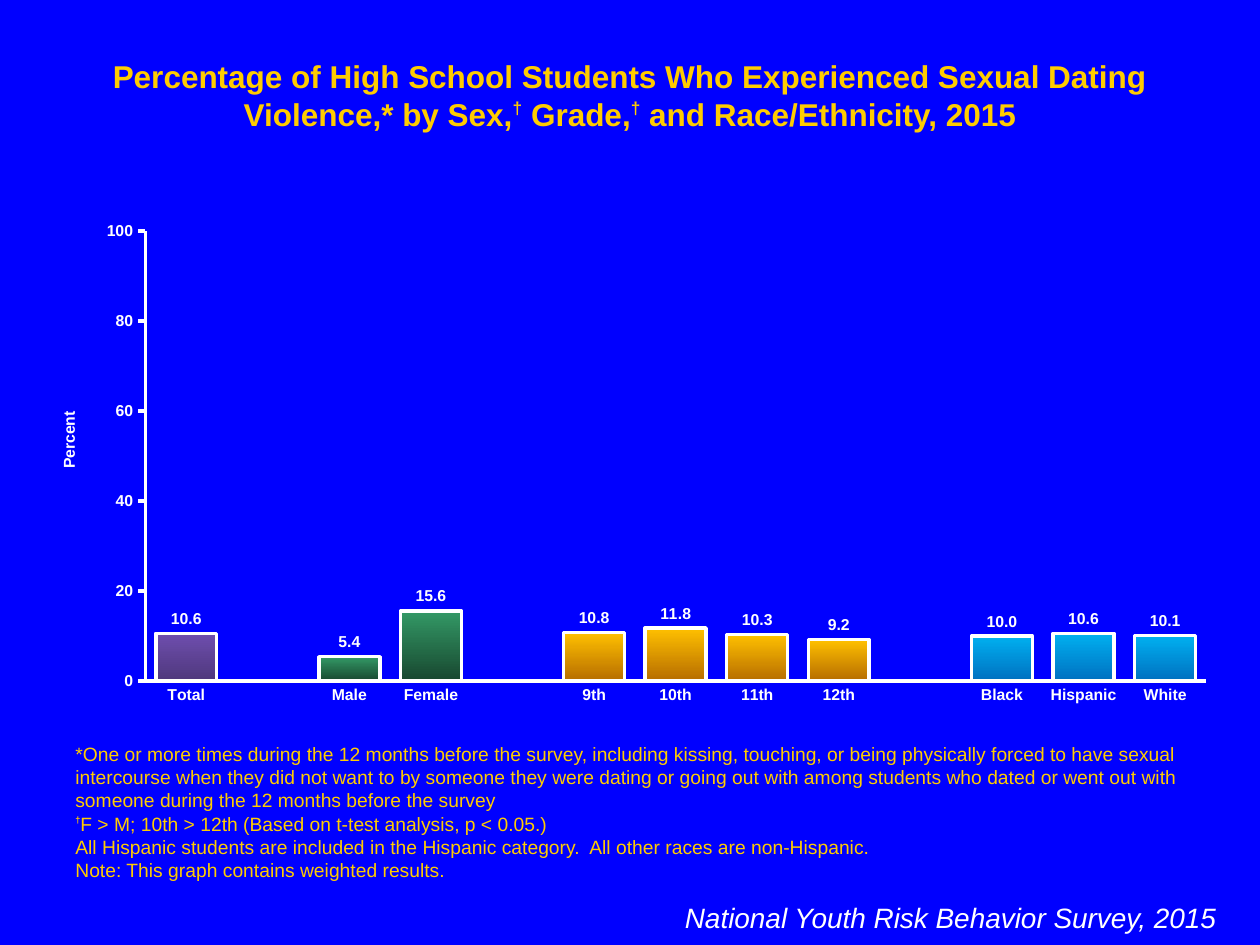
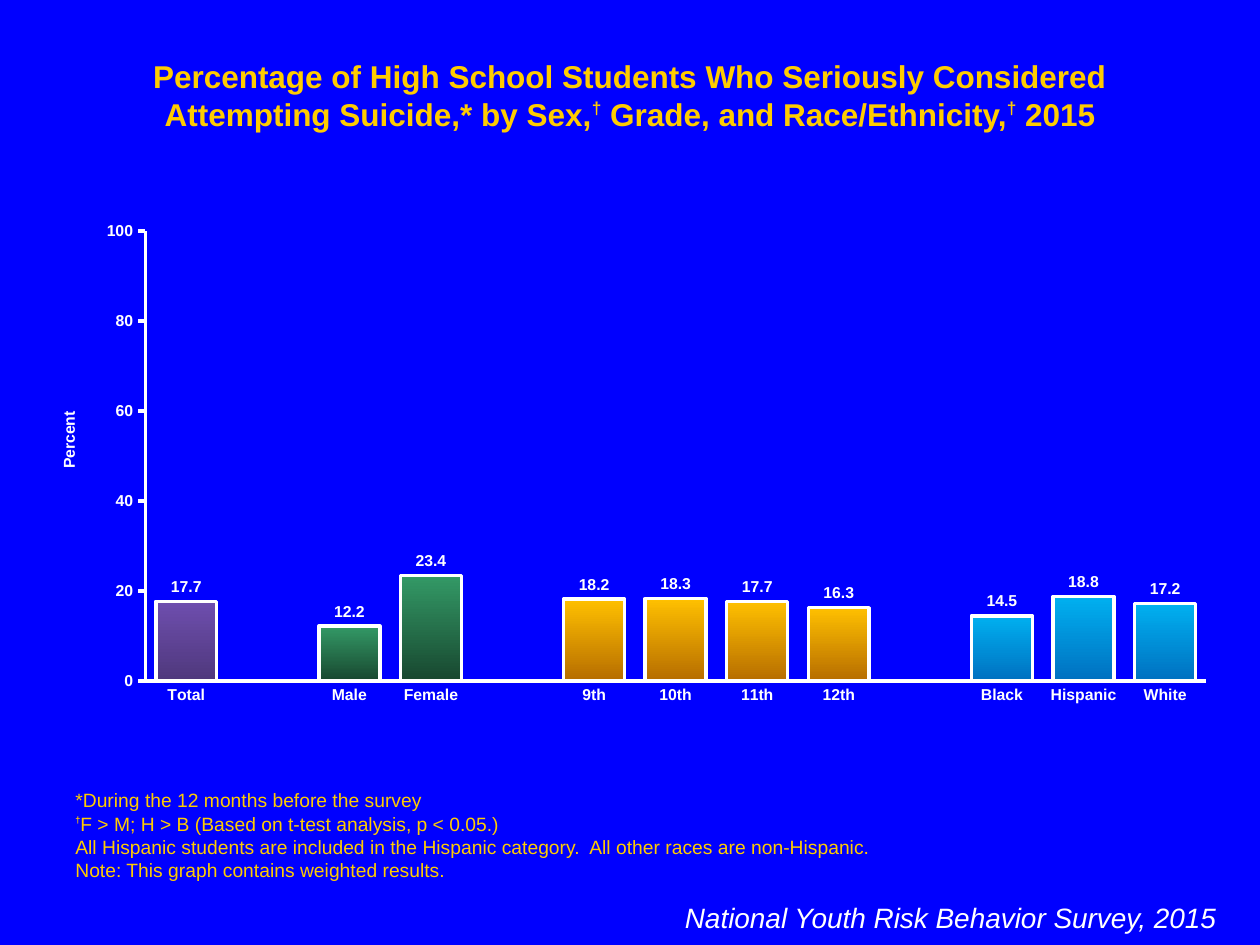
from dataclasses import dataclass

from pptx import Presentation
from pptx.chart.data import CategoryChartData
from pptx.chart.chart import Chart
from pptx.dml.color import RGBColor
from pptx.enum.chart import XL_CHART_TYPE, XL_LABEL_POSITION, XL_TICK_MARK
from pptx.enum.text import MSO_ANCHOR, MSO_AUTO_SIZE, PP_ALIGN
from pptx.oxml.ns import qn
from pptx.oxml.xmlchemy import OxmlElement
from pptx.slide import Slide
from pptx.util import Cm, Pt

FONT = "Arial"
COLORS = {
    "background": "0000FF",
    "gold": "FFCC00",
    "white": "FFFFFF",
    "total_top": "6E4EAE",
    "total_bottom": "4F387C",
    "sex_top": "339966",
    "sex_bottom": "18472F",
    "grade_top": "FFC000",
    "grade_bottom": "B66D00",
    "race_top": "00B0F0",
    "race_bottom": "0070C0",
}
GROUPS = {
    "total": ["Total"],
    "sex": ["Male", "Female"],
    "grade": ["9th", "10th", "11th", "12th"],
    "race": ["Black", "Hispanic", "White"],
}
SURVEY = "National Youth Risk Behavior Survey, 2015"
SHARED_NOTES = [
    "All Hispanic students are included in the Hispanic category.  All other races are non-Hispanic.",
    "Note: This graph contains weighted results.",
]


@dataclass(frozen=True)
class TextStyle:
    left: float
    top: float
    width: float
    height: float
    size: int
    color: str
    align: PP_ALIGN = PP_ALIGN.LEFT
    anchor: MSO_ANCHOR = MSO_ANCHOR.TOP
    bold: bool = False
    italic: bool = False
    dagger_size: int = 9
    dagger_raise: int = 50


@dataclass(frozen=True)
class SurveySlide:
    title: str
    notes: list[str]
    percents: dict[str, list[float]]


TITLE = TextStyle(1.27, 1.02, 22.86, 1.02, 18, "gold", PP_ALIGN.CENTER,
                  bold=True, dagger_size=17, dagger_raise=40)
NOTES = TextStyle(1.27, 17.15, 22.86, 0.74, 11, "gold", anchor=MSO_ANCHOR.BOTTOM)
FOOTER = TextStyle(10.8, 18.03, 13.97, 1.63, 16, "white", PP_ALIGN.RIGHT, italic=True)

SLIDES = [
    SurveySlide(
        "Percentage of High School Students Who Experienced Sexual Dating Violence,* "
        "by Sex,† Grade,† and Race/Ethnicity, 2015",
        [
            "*One or more times during the 12 months before the survey, including kissing, "
            "touching, or being physically forced to have sexual intercourse when they did not "
            "want to by someone they were dating or going out with among students who dated or "
            "went out with someone during the 12 months before the survey",
            "†F > M; 10th > 12th (Based on t-test analysis, p < 0.05.)",
        ],
        {"total": [10.6], "sex": [5.4, 15.6],
         "grade": [10.8, 11.8, 10.3, 9.2], "race": [10.0, 10.6, 10.1]},
    ),
    SurveySlide(
        "Percentage of High School Students Who Seriously Considered Attempting Suicide,* "
        "by Sex,† Grade, and Race/Ethnicity,† 2015",
        [
            "*During the 12 months before the survey",
            "†F > M; H > B (Based on t-test analysis, p < 0.05.)",
        ],
        {"total": [17.7], "sex": [12.2, 23.4],
         "grade": [18.2, 18.3, 17.7, 16.3], "race": [14.5, 18.8, 17.2]},
    ),
]


def rgb(name: str) -> RGBColor:
    return RGBColor.from_string(COLORS[name])


def set_font(font, size: int, color: str, bold: bool = False, italic: bool = False) -> None:
    font.name = FONT
    font.size = Pt(size)
    font.bold = bold
    font.italic = italic
    font.color.rgb = rgb(color)


def add_runs(p, text: str, style: TextStyle) -> None:
    for i, piece in enumerate(text.split("†")):
        if i:
            r = p.add_run()
            r.text = "†"
            set_font(r.font, style.dagger_size, style.color, True)
            r._r.get_or_add_rPr().set("baseline", str(style.dagger_raise * 1000))
        if piece:
            r = p.add_run()
            r.text = piece
            set_font(r.font, style.size, style.color, style.bold, style.italic)


def add_text(s: Slide, paragraphs: list[str], style: TextStyle) -> None:
    sp = s.shapes.add_textbox(Cm(style.left), Cm(style.top), Cm(style.width), Cm(style.height))
    tf = sp.text_frame
    tf.word_wrap = True
    tf.auto_size = MSO_AUTO_SIZE.SHAPE_TO_FIT_TEXT
    tf.vertical_anchor = style.anchor
    for i, text in enumerate(paragraphs):
        p = tf.add_paragraph() if i else tf.paragraphs[0]
        p.alignment = style.align
        add_runs(p, text, style)


def set_layout(parent, **settings: str) -> None:
    layout = parent.find(qn("c:layout"))
    if layout is None:
        layout = OxmlElement("c:layout")
        parent.insert(0 if parent.find(qn("c:tx")) is None else 1, layout)
    manual = OxmlElement("c:manualLayout")
    for name, value in settings.items():
        child = OxmlElement(f"c:{name}")
        child.set("val", value)
        manual.append(child)
    layout.append(manual)


def white_line(line) -> None:
    line.width = Pt(2)
    line.color.rgb = rgb("white")


def style_axes(chart: Chart) -> None:
    for axis, tick in ((chart.category_axis, XL_TICK_MARK.NONE),
                       (chart.value_axis, XL_TICK_MARK.OUTSIDE)):
        axis.has_major_gridlines = False
        axis.major_tick_mark = tick
        axis.minor_tick_mark = XL_TICK_MARK.NONE
        set_font(axis.tick_labels.font, 9, "white", True)
        white_line(axis.format.line)
    axis = chart.value_axis
    axis.minimum_scale, axis.maximum_scale, axis.major_unit = 0, 100, 20
    axis.tick_labels.number_format = "General"
    axis.tick_labels.number_format_is_linked = False
    title = axis.axis_title
    tf = title.text_frame
    r = tf.paragraphs[0].add_run()
    r.text = "Percent"
    set_font(r.font, 9, "white", True)
    tf._txBody.bodyPr.set("rot", "-5400000")
    tf._txBody.bodyPr.set("vert", "horz")
    set_layout(title._element, xMode="edge", yMode="edge", x="0.02", y="0.39")


def style_columns(chart: Chart) -> None:
    plot = chart.plots[0]
    plot.gap_width = 34
    plot.overlap = 100
    plot.vary_by_categories = False
    plot.has_data_labels = True
    labels = plot.data_labels
    labels.show_value = True
    labels.number_format = "#,##0.0"
    labels.number_format_is_linked = False
    labels.position = XL_LABEL_POSITION.OUTSIDE_END
    set_font(labels.font, 9, "white", True)
    series = plot.series[0]
    white_line(series.format.line)
    index = 0
    for group, names in GROUPS.items():
        for _ in names:
            point = series.points[index]
            fill = point.format.fill
            fill.gradient()
            fill.gradient_angle = 270
            for stop, end, position in zip(fill.gradient_stops, ("top", "bottom"), (0, 1)):
                stop.color.rgb = rgb(f"{group}_{end}")
                stop.position = position
            white_line(point.format.line)
            index += 1
        index += 1


def add_percent_chart(s: Slide, percents: dict[str, list[float]]) -> None:
    categories, values = [], []
    for group, names in GROUPS.items():
        if categories:
            categories.append("")
            values.append(None)
        categories += names
        values += percents[group]
    data = CategoryChartData()
    data.categories = categories
    data.add_series("Series 1", values)
    chart = s.shapes.add_chart(XL_CHART_TYPE.COLUMN_CLUSTERED, Cm(0.64), Cm(4.29),
                               Cm(24.13), Cm(10.11), data).chart
    chart.has_legend = False
    chart.has_title = False
    set_font(chart.font, 18, "white")
    style_axes(chart)
    style_columns(chart)
    set_layout(chart._chartSpace.chart.plotArea, layoutTarget="inner", xMode="edge",
               yMode="edge", x="0.095", y="0.036", w="0.886", h="0.898")


def add_survey_slide(prs: Presentation, content: SurveySlide) -> None:
    s = prs.slides.add_slide(prs.slide_layouts[6])
    s.background.fill.solid()
    s.background.fill.fore_color.rgb = rgb("background")
    add_text(s, [content.title], TITLE)
    add_text(s, content.notes + SHARED_NOTES, NOTES)
    add_text(s, [SURVEY], FOOTER)
    add_percent_chart(s, content.percents)


def main() -> None:
    prs = Presentation()
    prs.slide_width = Cm(25.4)
    prs.slide_height = Cm(19.05)
    for content in SLIDES:
        add_survey_slide(prs, content)
    prs.save("out.pptx")


if __name__ == "__main__":
    main()
